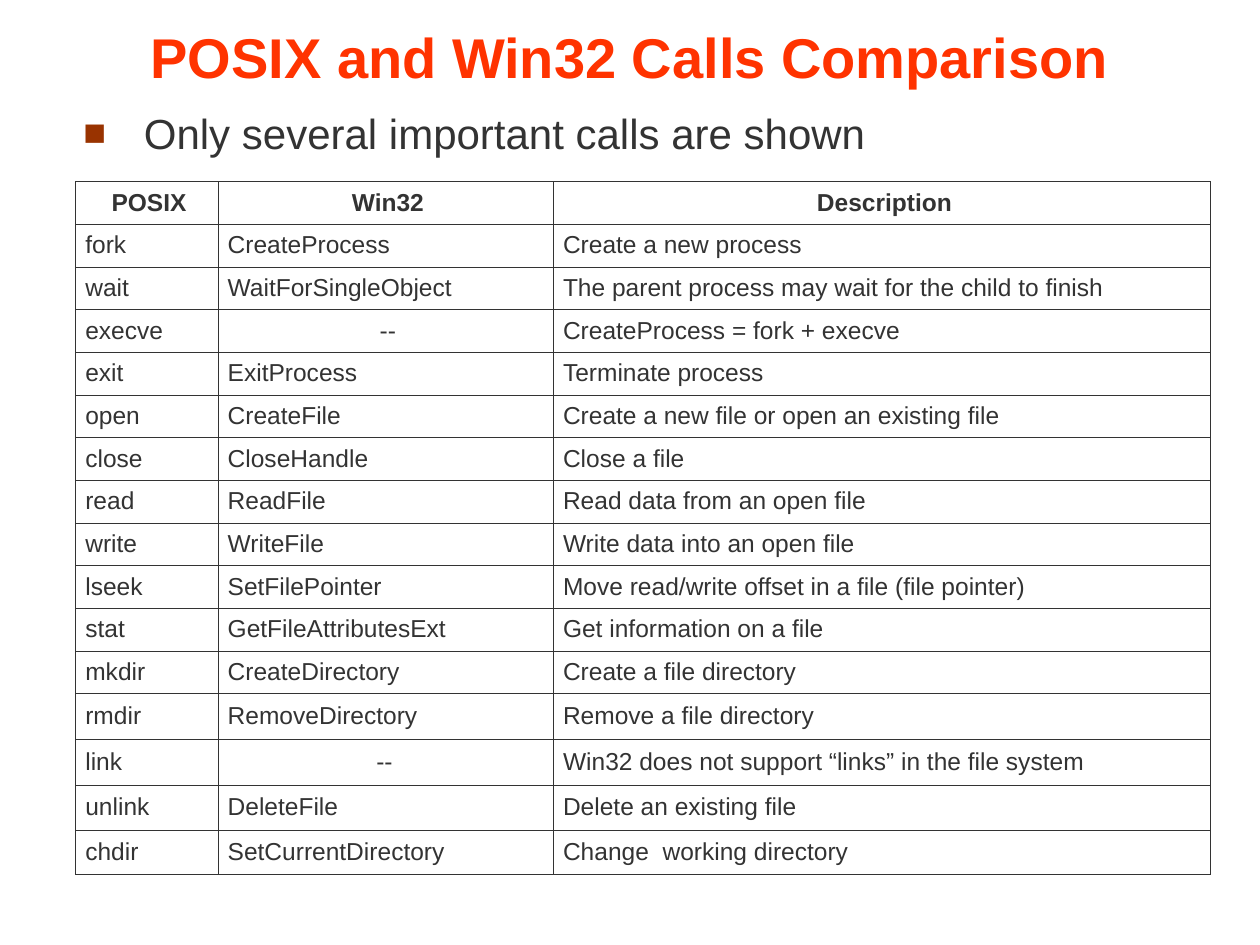
import dataclasses

import pptx
import pptx.dml.color
import pptx.enum.text
import pptx.oxml
import pptx.oxml.ns
import pptx.util

Cm = pptx.util.Cm
Pt = pptx.util.Pt
Align = pptx.enum.text.PP_ALIGN
Anchor = pptx.enum.text.MSO_ANCHOR
Fit = pptx.enum.text.MSO_AUTO_SIZE


@dataclasses.dataclass(frozen=True)
class Theme:
    face: str = "Arial"
    title: str = "FF3300"
    ink: str = "333333"
    mark: str = "993300"
    big: int = 32
    mid: int = 24
    small: int = 14
    thin: float = 0.23
    edge: float = 0.5
    base: float = 0.75


THEME = Theme()

CALLS = [
    ("POSIX", "Win32", "Description"),
    ("fork", "CreateProcess", "Create a new process"),
    ("wait", "WaitForSingleObject",
     "The parent process may wait for the child to finish"),
    ("execve", "--", "CreateProcess = fork + execve"),
    ("exit", "ExitProcess", "Terminate process"),
    ("open", "CreateFile", "Create a new file or open an existing file"),
    ("close", "CloseHandle", "Close a file"),
    ("read", "ReadFile", "Read data from an open file"),
    ("write", "WriteFile", "Write data into an open file"),
    ("lseek", "SetFilePointer",
     "Move read/write offset in a file (file pointer)"),
    ("stat", "GetFileAttributesExt", "Get information on a file"),
    ("mkdir", "CreateDirectory", "Create a file directory"),
    ("rmdir", "RemoveDirectory", "Remove a file directory"),
    ("link", "-- ", "Win32 does not support “links” in the file system"),
    ("unlink", "DeleteFile", "Delete an existing file"),
    ("chdir", "SetCurrentDirectory", "Change  working directory"),
]
COLS = [2.87, 6.76, 13.26]
ROWS = [0.86] * 12 + [0.92] * 3 + [0.89]


def place(shape, box):
    shape.left, shape.top, shape.width, shape.height = map(Cm, box)


def inset(item, left, top, right, bottom):
    item.margin_left, item.margin_top = Cm(left), Cm(top)
    item.margin_right, item.margin_bottom = Cm(right), Cm(bottom)


def style(para, size, color, bold=False):
    font = para.font
    font.name, font.size, font.bold = THEME.face, Pt(size), bold
    font.color.rgb = pptx.dml.color.RGBColor.from_string(color)


def element(markup):
    return pptx.oxml.parse_xml(
        markup.replace(" ", f" {pptx.oxml.ns.nsdecls('a')} ", 1))


def add_title(shape, box, text):
    place(shape, box)
    frame = shape.text_frame
    frame.text = text
    frame.auto_size = Fit.NONE
    frame.word_wrap = True
    frame.vertical_anchor = Anchor.BOTTOM
    inset(frame, 0.25, 0.13, 0.25, 0.13)
    para = frame.paragraphs[0]
    para.alignment = Align.CENTER
    style(para, THEME.big, THEME.title, True)


def add_list(shape, box, text):
    place(shape, box)
    frame = shape.text_frame
    frame.text = text
    frame.word_wrap = False
    frame.auto_size = Fit.SHAPE_TO_FIT_TEXT
    frame.vertical_anchor = Anchor.TOP
    inset(frame, 0.05, 0.13, 0.25, 0.13)
    para = frame.paragraphs[0]
    para.alignment = Align.LEFT
    para.line_spacing = 0.8
    para.space_before = Pt(0)
    # Square bullet with a hanging indent
    props = para._p.get_or_add_pPr()
    props.set("marL", str(Cm(1.22)))
    props.set("indent", str(-Cm(1.22)))
    for markup in (
            f'<a:buClr ><a:srgbClr val="{THEME.mark}"/></a:buClr>',
            '<a:buSzPct val="90000"/>',
            f'<a:buFont typeface="{THEME.face}"/>',
            '<a:buChar char="■"/>'):
        props.append(element(markup))
    style(para, THEME.mid, THEME.ink)


def add_rules(cell, row, col):
    """Draw the outer frame heavier than the inner grid."""
    last = len(ROWS) - 1
    widths = {
        "lnL": THEME.edge if col == 0 else THEME.thin,
        "lnR": THEME.edge if col == len(COLS) - 1 else THEME.thin,
        "lnT": THEME.edge if row < 2 else THEME.thin,
        "lnB": (THEME.edge if row == 0 else
                THEME.base if row == last else THEME.thin),
    }
    props = cell._tc.get_or_add_tcPr()
    for side, width in widths.items():
        props.append(element(
            f'<a:{side} w="{Pt(width)}"><a:solidFill>'
            f'<a:srgbClr val="{THEME.ink}"/></a:solidFill></a:{side}>'))


def fill_cell(cell, row, col, text):
    cell.text = text
    cell.vertical_anchor = Anchor.MIDDLE
    inset(cell, 0.2, 0.13, 0.1, 0.13)
    add_rules(cell, row, col)
    cell.fill.background()
    para = cell.text_frame.paragraphs[0]
    center = row == 0 or text.strip() == "--"
    para.alignment = Align.CENTER if center else Align.LEFT
    para.line_spacing = 0.99
    style(para, THEME.small, THEME.ink, row == 0)


def add_calls(slide, left, top):
    box = map(Cm, (left, top, sum(COLS), sum(ROWS)))
    table = slide.shapes.add_table(len(ROWS), len(COLS), *box).table
    table.first_row = table.horz_banding = False
    for col, width in enumerate(COLS):
        table.columns[col].width = Cm(width)
    for row, height in enumerate(ROWS):
        table.rows[row].height = Cm(height)
        for col, text in enumerate(CALLS[row]):
            fill_cell(table.cell(row, col), row, col, text)


def main():
    deck = pptx.Presentation()
    deck.slide_width, deck.slide_height = Cm(25.4), Cm(19.05)
    slide = deck.slides.add_slide(deck.slide_layouts[1])
    title, body = slide.placeholders
    add_title(title, (0, 0, 25.4, 1.93), "POSIX and Win32 Calls Comparison")
    add_list(body, (1.63, 2.24, 16.08, 1.07),
             "Only several important calls are shown")
    add_calls(slide, 1.52, 3.66)
    deck.save("out.pptx")


if __name__ == "__main__":
    main()
